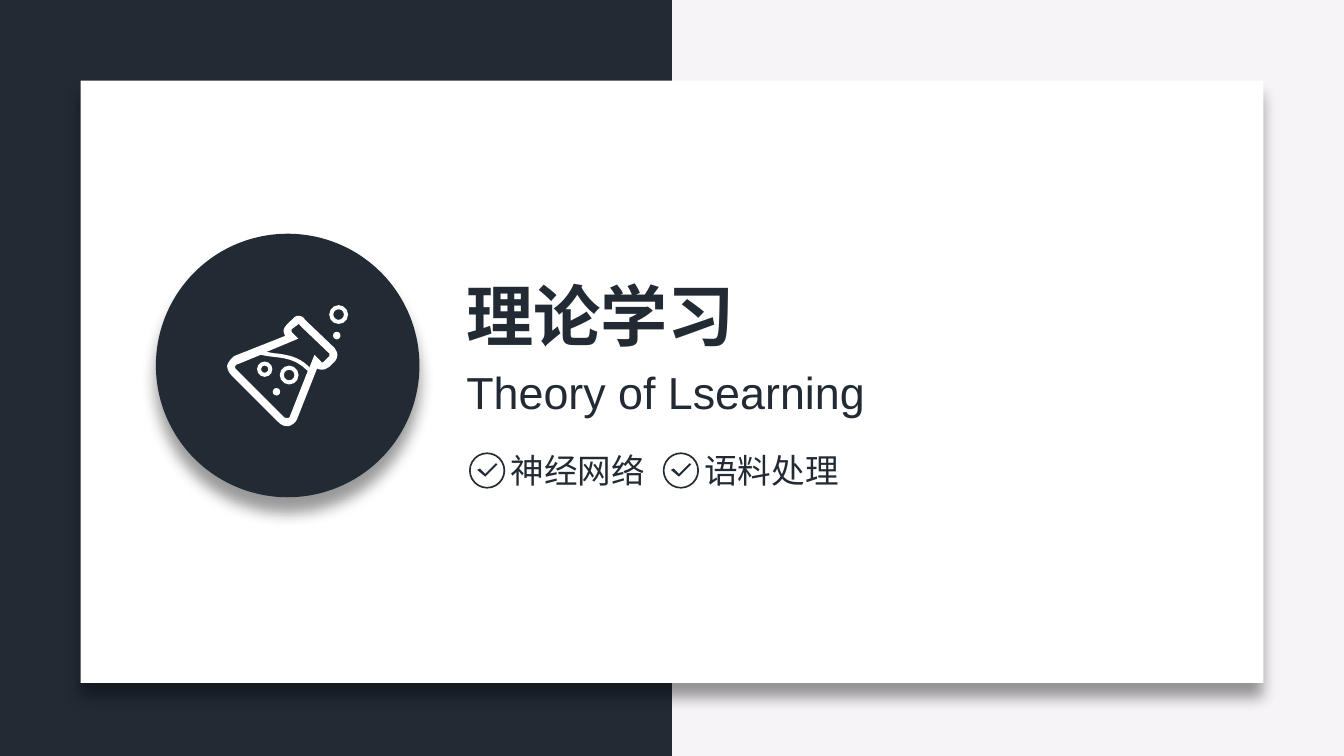
from lxml import etree
from pptx import Presentation
from pptx import util as u
from pptx.dml.color import RGBColor
from pptx.enum import shapes, text
from pptx.oxml.ns import qn

Pt = u.Pt
NAVY = RGBColor(0x22, 0x2B, 0x34)
MIST = RGBColor(0xF6, 0xF4, 0xF7)
WHITE = RGBColor(0xFF, 0xFF, 0xFF)
LATIN, CJK = "Arial", "Noto Sans CJK SC"

UNIT = 0.72  # icon outlines are drawn on a grid of 0.72 pt
CURVE_STEPS = 8

# Each contour starts with a point; two numbers make a line, six a curve
FLASK = [
    [(245, 265), (241, 269), (240, 270, 239, 270, 239, 269), (234, 264),
     (230, 274), (230, 273), (222, 265, 213, 264, 206, 263),
     (203, 263, 201, 262, 198, 262), (222, 252), (217, 247),
     (217, 247, 217, 246, 217, 245), (221, 242),
     (222, 241, 223, 241, 223, 242), (245, 263),
     (245, 264, 245, 265, 245, 265)],
    [(216, 309), (216, 310, 215, 311, 214, 311), (213, 311),
     (212, 311, 212, 311, 211, 310), (176, 275),
     (175, 274, 175, 274, 175, 273), (175, 272, 176, 271, 177, 271),
     (194, 264), (206, 267, 217, 264, 229, 276)],
    [(227, 238), (226, 236, 224, 235, 222, 235),
     (220, 235, 219, 236, 217, 238), (213, 242),
     (212, 243, 211, 245, 211, 246), (211, 248, 212, 249, 212, 250),
     (174, 265), (172, 267, 170, 269, 169, 272),
     (169, 274, 170, 277, 172, 279), (207, 314),
     (209, 316, 211, 317, 213, 317), (214, 317, 214, 317, 215, 317),
     (218, 316, 220, 314, 221, 312), (236, 274),
     (237, 275, 238, 275, 240, 275), (242, 275, 243, 274, 245, 273),
     (249, 269), (250, 268, 251, 266, 251, 264),
     (251, 262, 250, 261, 249, 259)],
]
CHECK = [(6, 13), (8, 12), (12, 16), (20, 8), (21, 9), (12, 18)]


def paint(shape, color):
    shape.shadow.inherit = False
    shape.fill.solid()
    shape.fill.fore_color.rgb = color
    shape.line.fill.background()
    return shape


def add_preset(parent, kind, left, top, width, height, color):
    shape = parent.shapes.add_shape(kind, Pt(left), Pt(top), Pt(width), Pt(height))
    return paint(shape, color)


def add_ring(parent, left, top, size, thickness, color):
    ring = add_preset(parent, shapes.MSO_SHAPE.DONUT, left, top, size, size, color)
    ring.adjustments[0] = thickness / size


def drop_shadow(shape):
    effects = shape._element.spPr.find(qn("a:effectLst"))
    shadow = etree.SubElement(
        effects, qn("a:outerShdw"), blurRad=str(Pt(8)), dist=str(Pt(8)),
        dir="5400000", algn="t", rotWithShape="0")
    black = etree.SubElement(shadow, qn("a:srgbClr"), val="000000")
    etree.SubElement(black, qn("a:alpha"), val="40000")


def flatten(contour):
    """Turn a contour of lines and cubic curves into plain points."""
    points = [contour[0]]
    for step in contour[1:]:
        if len(step) == 2:
            points.append(step)
            continue
        x0, y0 = points[-1]
        x1, y1, x2, y2, x3, y3 = step
        for i in range(1, CURVE_STEPS + 1):
            t = i / CURVE_STEPS
            a, b, c, d = (1 - t) ** 3, 3 * t * (1 - t) ** 2, 3 * t * t * (1 - t), t ** 3
            points.append((a * x0 + b * x1 + c * x2 + d * x3,
                           a * y0 + b * y1 + c * y2 + d * y3))
    return points


def add_outline(parent, contours, color, left=0, top=0):
    builder = None
    for contour in contours:
        points = [(Pt(left + x * UNIT), Pt(top + y * UNIT)) for x, y in flatten(contour)]
        if builder is None:
            builder = parent.shapes.build_freeform(*points[0], scale=1.0)
        else:
            builder.move_to(*points[0])
        builder.add_line_segments(points[1:], close=True)
    paint(builder.convert_to_shape(), color)


def add_text(page, words, left, top, width, height, size, font=CJK, bold=False):
    box = page.shapes.add_textbox(Pt(left), Pt(top), Pt(width), Pt(height))
    frame = box.text_frame
    frame.word_wrap = False
    frame.auto_size = text.MSO_AUTO_SIZE.SHAPE_TO_FIT_TEXT
    span = frame.paragraphs[0].add_run()
    span.text = words
    span.font.size = Pt(size)
    span.font.bold = bold
    span.font.color.rgb = NAVY
    span.font.name = font
    etree.SubElement(span.font._element, qn("a:ea"), typeface=font)


def add_topic(page, words, left, top):
    badge = page.shapes.add_group_shape()
    add_ring(badge, left, top, 19.4, 0.9, NAVY)
    add_outline(badge, [CHECK], NAVY, left, top)
    add_text(page, words, left + 15.1, top - 5, 87.1, 29, 18)


def add_flask(page):
    icon = page.shapes.add_group_shape()
    add_outline(icon, FLASK, WHITE)
    for left, top, size in [(149.9, 195.9, 10.1), (176.4, 163.5, 10.1), (137.7, 193.7, 8.2)]:
        add_ring(icon, left, top, size, 2.2, WHITE)
    for left, top in [(146.1, 207.9), (178.4, 177.8)]:
        add_preset(icon, shapes.MSO_SHAPE.OVAL, left, top, 4, 4, WHITE)


def main():
    deck = Presentation()
    deck.slide_width, deck.slide_height = Pt(720), Pt(405)
    page = deck.slides.add_slide(deck.slide_layouts[6])

    # Two-tone backdrop and card
    page.background.fill.solid()
    page.background.fill.fore_color.rgb = MIST
    rectangle = shapes.MSO_SHAPE.RECTANGLE
    add_preset(page, rectangle, 0, 0, 360, 405, NAVY)
    drop_shadow(add_preset(page, rectangle, 43.2, 43.2, 633.6, 322.6, WHITE))

    # Round emblem
    drop_shadow(add_preset(page, shapes.MSO_SHAPE.OVAL, 83.5, 125.2, 141.2, 141.2, NAVY))
    add_flask(page)

    # Headings
    add_text(page, "理论学习", 242.8, 143.3, 160, 94.3, 36, bold=True)
    add_text(page, "Theory of Lsearning", 242.8, 191.7, 230.4, 36, 24, font=LATIN)

    # Topics
    for i, words in enumerate(["神经网络", "语料处理"]):
        add_topic(page, words, 251.3 + i * 103.8, 242.4)

    deck.save("out.pptx")


if __name__ == "__main__":
    main()
